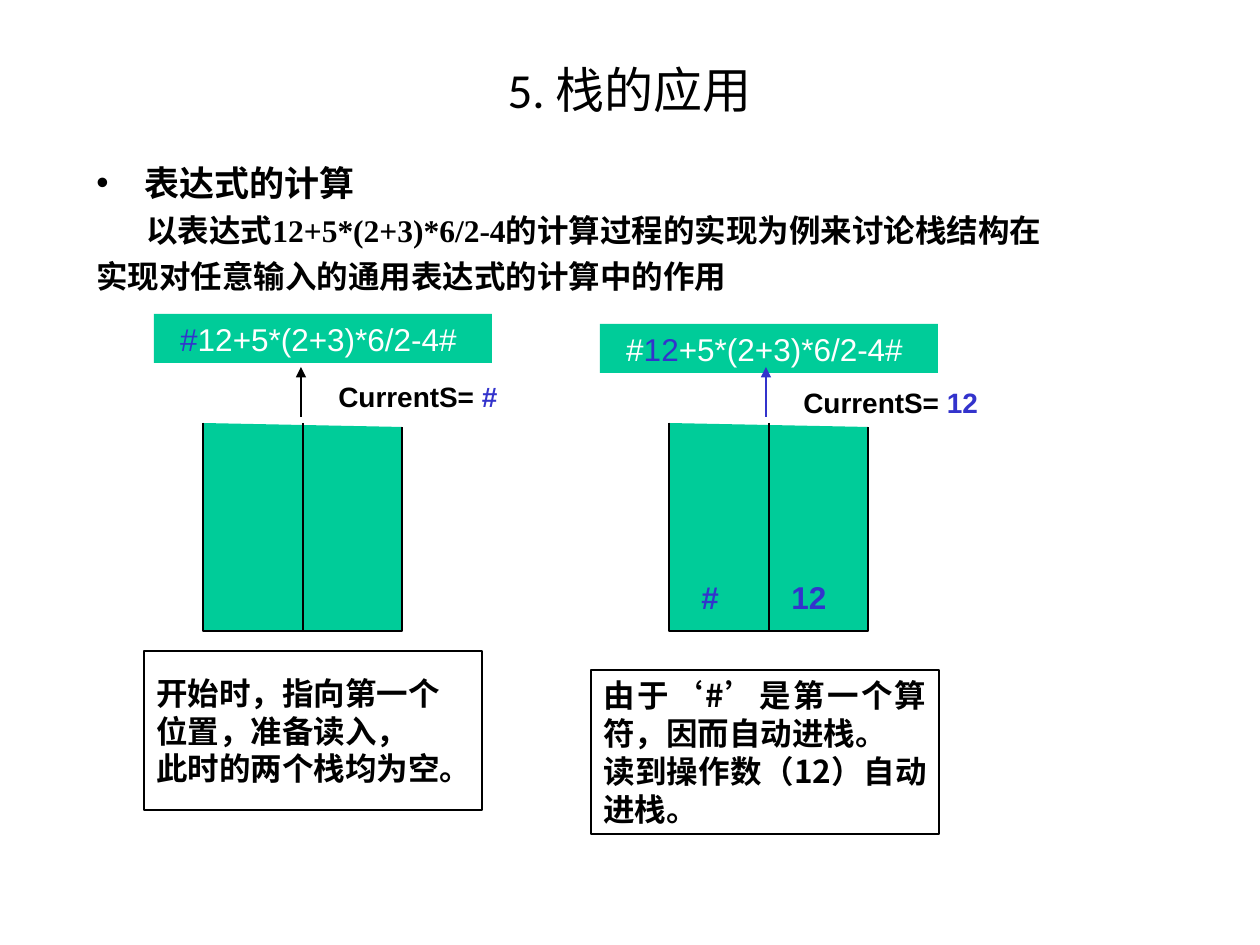
from dataclasses import dataclass

from lxml.etree import SubElement
from pptx import Presentation
from pptx.dml.color import RGBColor
from pptx.enum.shapes import MSO_CONNECTOR as CONN, MSO_SHAPE as SHAPE
from pptx.enum.text import MSO_ANCHOR as ANCHOR, PP_ALIGN as ALIGN
from pptx.oxml.ns import qn
from pptx.util import Emu, Pt

PX = 914400 / 126
BLACK, WHITE, BLUE, GREEN = "000000", "FFFFFF", "3333CC", "00CC99"
CJK = "Noto Sans CJK SC"
Box = tuple[int, int, int, int]
Run = tuple[str, str]


@dataclass(frozen=True)
class Panel:
    """One step of the evaluation: input, current symbol, two stacks, note."""
    expr_at: tuple[int, int]
    expr: list[Run]
    label_at: Box
    symbol: str
    arrow_x: int
    arrow_color: str
    stack_x: int
    stack_items: list[tuple[int, str]]
    note_at: Box
    note: list[str]
    note_format: dict


PANELS = [
    Panel((154, 314), [("#", BLUE), ("12+5*(2+3)*6/2-4# ", WHITE)],
          (326, 373, 199, 47), "#", 301, BLACK, 203, [], (144, 651, 338, 159),
          ["开始时，指向第一个", "位置，准备读入，", "此时的两个栈均为空。"],
          dict(anchor=ANCHOR.MIDDLE, wrap=False)),
    Panel((600, 324), [("#", WHITE), ("12", BLUE), ("+5*(2+3)*6/2-4# ", WHITE)],
          (791, 379, 215, 47), "12", 766, BLUE, 669, [(689, "#"), (779, "12")],
          (591, 670, 348, 164),
          ["由于‘#’是第一个算符，因而自动进栈。", "读到操作数（12）自动进栈。"],
          dict(align=ALIGN.JUSTIFY, font=CJK)),
]


def emu(px: int) -> Emu:
    """Turn pixels into EMU."""
    return Emu(round(px * PX))


def rgb(color: str) -> RGBColor:
    """Turn a hex string into a colour."""
    return RGBColor.from_string(color)


def add_text(tf, text: str | list[Run], *, size=18, font="Arial", color=BLACK, bold=True,
             align=ALIGN.LEFT, before=0, margin=0, indent=0, bullet=False, first=True) -> None:
    """Write one paragraph, from a string or coloured runs."""
    p = tf.paragraphs[0] if first else tf.add_paragraph()
    p.alignment, p.space_before = align, Pt(before)
    ppr = p._p.get_or_add_pPr()
    ppr.set("marL", str(emu(margin)))
    ppr.set("indent", str(emu(indent)))
    if bullet:
        SubElement(ppr, qn("a:buFont"), typeface="Arial")
        SubElement(ppr, qn("a:buChar"), char="•")
    else:
        SubElement(ppr, qn("a:buNone"))
    for part, tint in [(text, color)] if isinstance(text, str) else text:
        r = p.add_run()
        r.text = part
        r.font.size, r.font.name, r.font.bold = Pt(size), font, bold
        r.font.color.rgb = rgb(tint)
        SubElement(r._r.get_or_add_rPr(), qn("a:ea"), typeface=CJK)


def frame(sp, anchor=ANCHOR.TOP, wrap=True):
    """Prepare and return the text frame of a shape."""
    tf = sp.text_frame
    tf.vertical_anchor, tf.word_wrap = anchor, wrap
    return tf


def text_box(s, at: Box, anchor=ANCHOR.TOP):
    """Add a text box and return its text frame."""
    return frame(s.shapes.add_textbox(*map(emu, at)), anchor)


def style(sp, fill: str | None = None, line: str | None = None) -> None:
    """Set fill and outline, without shadow."""
    sp.shadow.inherit = False
    if fill:
        sp.fill.solid()
        sp.fill.fore_color.rgb = rgb(fill)
    else:
        sp.fill.background()
    if line:
        sp.line.color.rgb, sp.line.width = rgb(line), Pt(0.75)
    else:
        sp.line.fill.background()


def rect(s, at: Box, fill: str | None = None, line: str | None = None):
    """Add a rectangle."""
    sp = s.shapes.add_shape(SHAPE.RECTANGLE, *map(emu, at))
    style(sp, fill, line)
    return sp


def v_line(s, x: int, y1: int, y2: int, color=BLACK, arrow=False) -> None:
    """Add a vertical line, with an arrowhead at its end if wanted."""
    c = s.shapes.add_connector(CONN.STRAIGHT, *map(emu, (x, y1, x, y2)))
    c.line.color.rgb, c.line.width = rgb(color), Pt(0.75)
    if arrow:
        SubElement(c.line._get_or_add_ln(), qn("a:tailEnd"), type="triangle")
    SubElement(c._element.spPr, qn("a:effectLst"))


def draw_stacks(s, x: int) -> None:
    """Draw the open container holding two stacks side by side."""
    top, bottom, width = 423, 631, 199
    fb = s.shapes.build_freeform(x, top, scale=PX)
    fb.add_line_segments([(x, bottom), (x + width, bottom), (x + width, top + 4)], close=False)
    style(fb.convert_to_shape(), GREEN, BLACK)
    v_line(s, x + width // 2 + 1, top, bottom)


def draw_panel(s, panel: Panel) -> None:
    """Draw one step of the evaluation."""
    expr = rect(s, (*panel.expr_at, 338, 49), fill=GREEN)
    add_text(frame(expr, ANCHOR.MIDDLE, wrap=False), panel.expr, bold=False, align=ALIGN.CENTER)
    draw_stacks(s, panel.stack_x)
    v_line(s, panel.arrow_x, 417, 367, panel.arrow_color, arrow=True)
    label = text_box(s, panel.label_at, ANCHOR.MIDDLE)
    add_text(label, [("CurrentS= ", BLACK), (panel.symbol, BLUE)], size=16)
    for x, item in panel.stack_items:
        add_text(text_box(s, (x, 572, 100, 50)), item, color=BLUE)
    fmt = dict(panel.note_format)
    layout = {k: fmt.pop(k) for k in ("anchor", "wrap") if k in fmt}
    tf = frame(rect(s, panel.note_at, line=BLACK), **layout)
    for i, text in enumerate(panel.note):
        add_text(tf, text, first=i == 0, **fmt)


def main() -> None:
    """Build and save the slide."""
    prs = Presentation()
    prs.slide_width, prs.slide_height = emu(1260), emu(945)
    s = prs.slides.add_slide(prs.slide_layouts[6])
    title = text_box(s, (84, -43, 1102, 168), ANCHOR.BOTTOM)
    add_text(title, "5. 栈的应用 ", size=28, font="Calibri", bold=False, align=ALIGN.CENTER)
    body = text_box(s, (84, 155, 1091, 694))
    serif = "Times New Roman"
    add_text(body, "表达式的计算", size=20, font=serif, before=5, margin=48, indent=-48, bullet=True)
    add_text(body, "以表达式12+5*(2+3)*6/2-4的计算过程的实现为例来讨论栈结构在",
             font=serif, before=4.5, indent=50, first=False)
    add_text(body, "实现对任意输入的通用表达式的计算中的作用", font=serif, before=4.5, first=False)
    for panel in PANELS:
        draw_panel(s, panel)
    prs.save("out.pptx")


if __name__ == "__main__":
    main()
